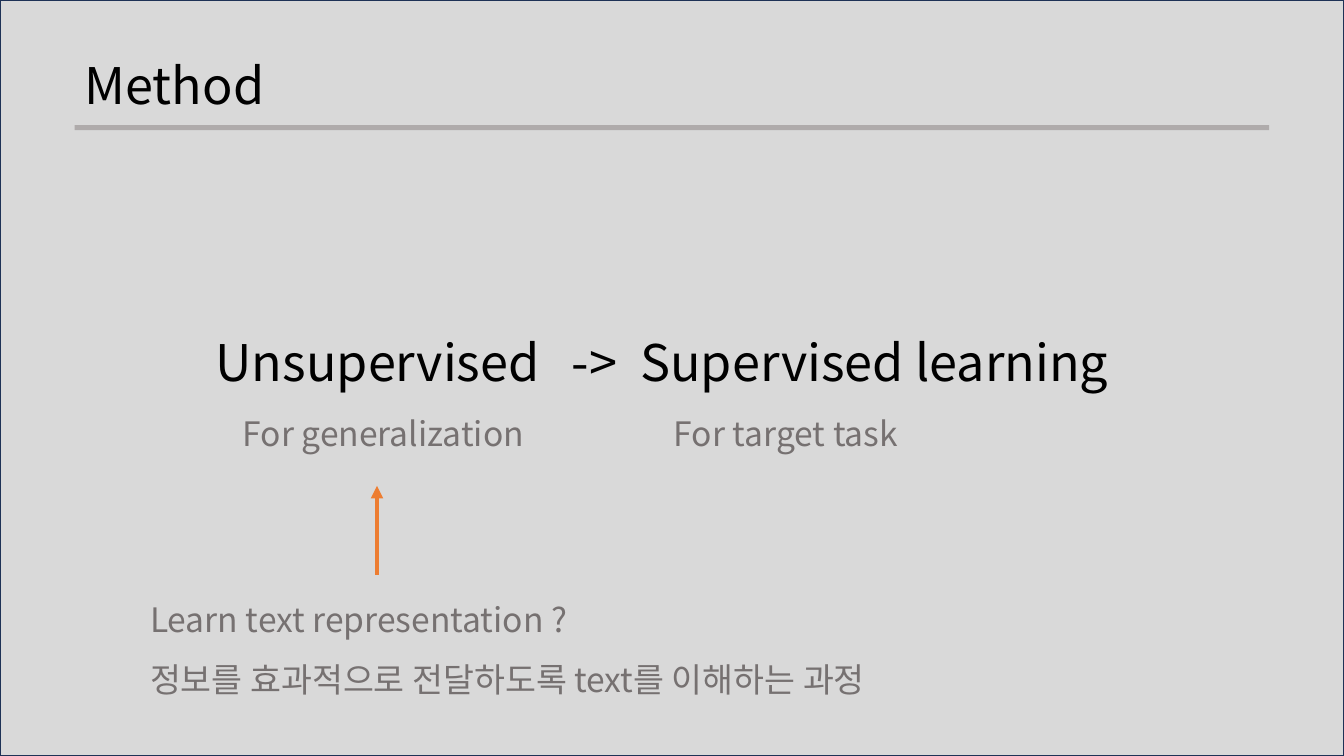
import pptx
import pptx.dml.color
import pptx.enum.dml
import pptx.enum.shapes
import pptx.enum.text
import pptx.oxml
import pptx.oxml.ns
import pptx.util

Pt = pptx.util.Pt
RGB = pptx.dml.color.RGBColor
FONT = "Noto Sans CJK KR"
BLACK = RGB(0x00, 0x00, 0x00)
GRAY = RGB(0x76, 0x71, 0x71)
PANEL = RGB(0xD9, 0xD9, 0xD9)
FRAME = RGB(0x1E, 0x32, 0x56)
RULE = RGB(0xAF, 0xAB, 0xAB)
ORANGE = RGB(0xED, 0x7D, 0x31)

# Content: text, left, width
TITLE = "Method"
STAGES = [("Unsupervised", 146.9, 250), ("->", 401.4, 48),
          ("Supervised learning", 450.3, 400)]
PURPOSES = [("For generalization", 166.3, 280), ("For target task", 474.2, 280)]
NOTES = ["Learn text representation ?",
         "정보를 효과적으로 전달하도록 text를 이해하는 과정"]

# Layout and text formats
WIDTH, HEIGHT = 960, 540
MARGIN = 53.3
STAGE_TOP, PURPOSE_TOP, NOTES_TOP = 233.3, 291.6, 409.7
ARROW_X, ARROW_START, ARROW_END = 269.3, 410.4, 347
HEADING = {"size": Pt(36), "name": FONT, "bold": False}
DETAIL = {"size": Pt(24), "name": FONT, "bold": False}

deck = pptx.Presentation()
deck.slide_width, deck.slide_height = Pt(WIDTH), Pt(HEIGHT)
slide = deck.slides.add_slide(deck.slide_layouts[5])
shapes = slide.shapes


def write(holder, lines, font_format, color, spacing=1.0):
    frame = holder.text_frame
    frame.word_wrap = True
    frame.auto_size = pptx.enum.text.MSO_AUTO_SIZE.NONE
    frame.vertical_anchor = pptx.enum.text.MSO_ANCHOR.TOP
    frame.text = "\n".join(lines)
    for paragraph in frame.paragraphs:
        paragraph.alignment = pptx.enum.text.PP_ALIGN.LEFT
        paragraph.line_spacing = spacing
        font = paragraph.runs[0].font
        for attribute, value in font_format.items():
            setattr(font, attribute, value)
        font.color.rgb = color
        # East Asian typeface follows the Latin one
        latin = paragraph.runs[0]._r.rPr.find(pptx.oxml.ns.qn("a:latin"))
        latin.addnext(pptx.oxml.parse_xml(
            f'<a:ea {pptx.oxml.ns.nsdecls("a")} typeface="{FONT}"/>'))


def add_text(lines, left, top, width, height, *style):
    box = shapes.add_textbox(Pt(left), Pt(top), Pt(width), Pt(height))
    write(box, lines, *style)


def add_block(left, top, width, height, color):
    block = shapes.add_shape(pptx.enum.shapes.MSO_SHAPE.RECTANGLE,
                             Pt(left), Pt(top), Pt(width), Pt(height))
    block.shadow.inherit = False
    block.fill.solid()
    block.fill.fore_color.rgb = color
    block.line.fill.background()
    return block


# Framed panel behind everything
panel = add_block(0, 0, WIDTH, HEIGHT, PANEL)
panel.line.color.rgb = FRAME
panel.line.width = Pt(1)
shapes._spTree.insert(2, panel._element)

# Title and its rule
title = shapes.title
title.left, title.top, title.width, title.height = (
    Pt(MARGIN), Pt(35.3), Pt(643.7), Pt(51.1))
write(title, [TITLE], HEADING, BLACK)
add_block(MARGIN, 89.3, 853.2, 3.6, RULE)

# Stages and what each is for
for text, left, width in STAGES:
    add_text([text], left, STAGE_TOP, width, 51.1, HEADING, BLACK)
for text, left, width in PURPOSES:
    add_text([text], left, PURPOSE_TOP, width, 36, DETAIL, GRAY)

# Arrow from the notes up to the first stage
arrow = shapes.add_connector(pptx.enum.shapes.MSO_CONNECTOR.STRAIGHT,
                             Pt(ARROW_X), Pt(ARROW_START), Pt(ARROW_X), Pt(ARROW_END))
arrow.line.color.rgb = ORANGE
arrow.line.width = Pt(3)
arrow.line._get_or_add_ln().append(pptx.oxml.parse_xml(
    f'<a:tailEnd {pptx.oxml.ns.nsdecls("a")} type="triangle"/>'))
arrow._element.spPr.append(pptx.oxml.parse_xml(
    f'<a:effectLst {pptx.oxml.ns.nsdecls("a")}/>'))

# Notes
add_text(NOTES, 100.1, NOTES_TOP, 650.9, 87.8, DETAIL, GRAY, 1.5)

deck.save("out.pptx")
